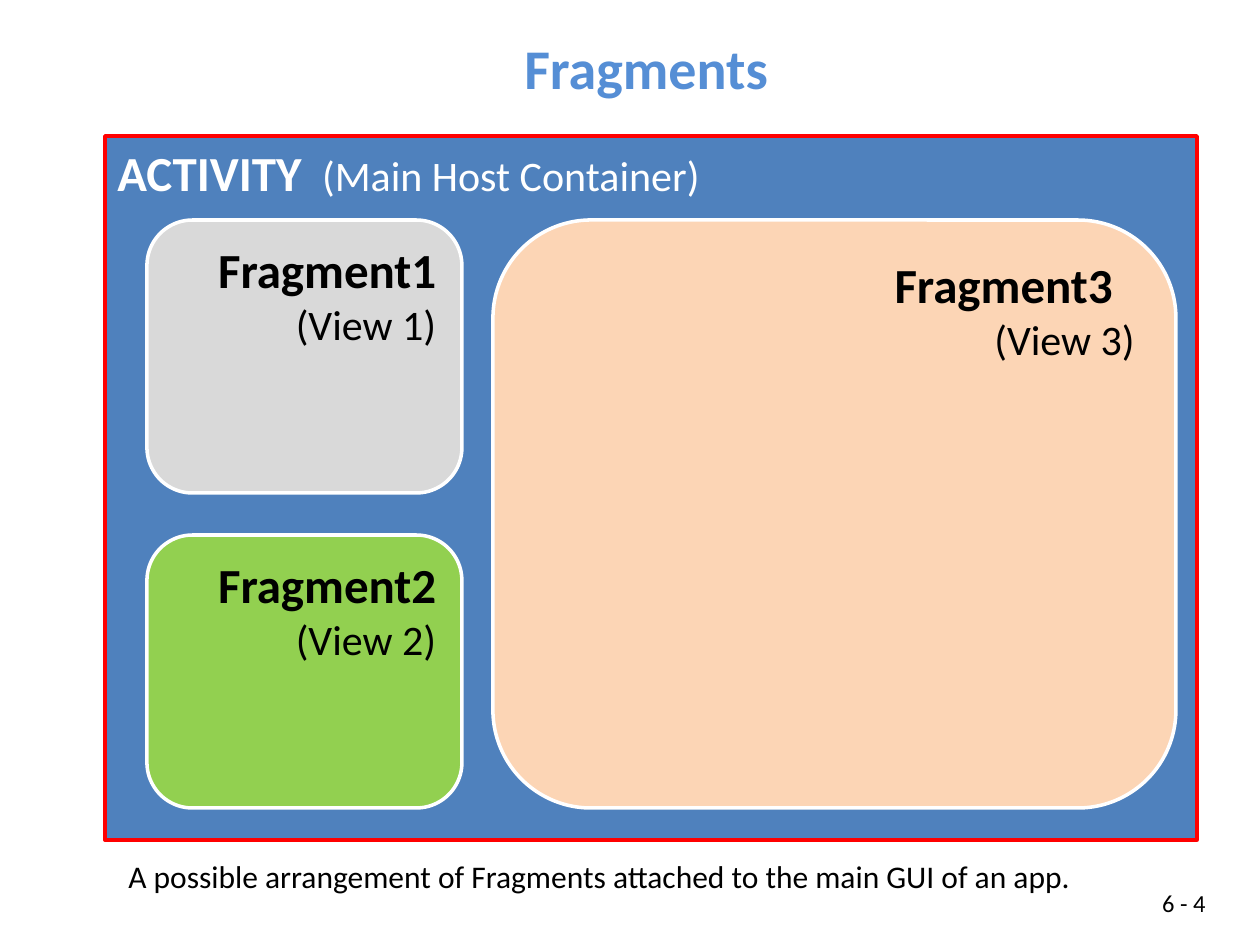
from pptx import Presentation
from pptx.dml.color import RGBColor
from pptx.enum.shapes import MSO_SHAPE
from pptx.enum.text import MSO_ANCHOR, PP_ALIGN
from pptx.util import Emu, Pt

SCALE = 914400 / 126
THEME = {
    "font": "Calibri",
    "title": "558ED5", "ink": "000000", "white": "FFFFFF",
    "activity": "4F81BD", "border": "FF0000",
    "gray": "D9D9D9", "green": "92D050", "peach": "FCD5B5",
    "title_size": 32, "name_size": 28, "view_size": 24,
    "caption_size": 18, "number_size": 14, "line": 2,
}


def place(kind, bounds, fill=None, line=None):
    lengths = [Emu(round(value * SCALE)) for value in bounds]
    if kind is None:
        box = page.shapes.add_textbox(*lengths)
    else:
        box = page.shapes.add_shape(kind, *lengths)
        box.shadow.inherit = False
        box.fill.solid()
        box.fill.fore_color.rgb = RGBColor.from_string(THEME[fill])
        box.line.color.rgb = RGBColor.from_string(THEME[line])
        box.line.width = Pt(THEME["line"])
    box.text_frame.word_wrap = True
    box.text_frame.vertical_anchor = MSO_ANCHOR.TOP
    return box


def write(para, align, color, *spans):
    para.alignment = align
    for text, size, bold in spans:
        span = para.add_run()
        span.text = text
        span.font.name = THEME["font"]
        span.font.size = Pt(THEME[size])
        span.font.bold = bold
        span.font.color.rgb = RGBColor.from_string(THEME[color])


deck = Presentation()
deck.slide_width = Emu(round(1260 * SCALE))
deck.slide_height = Emu(round(945 * SCALE))
page = deck.slides.add_slide(deck.slide_layouts[6])

activity = place(MSO_SHAPE.RECTANGLE, (105, 136, 1092, 704), "activity", "border")
write(activity.text_frame.paragraphs[0], PP_ALIGN.LEFT, "white",
      ("ACTIVITY ", "name_size", True),
      (" (Main Host Container)", "view_size", False))

fragments = [
    ("Fragment3  ", "(View 3)", "peach", (493, 220, 683, 588)),
    ("Fragment1", "(View 1)", "gray", (147, 220, 315, 273)),
    ("Fragment2", "(View 2)", "green", (147, 535, 315, 273)),
]
for name, view, fill, bounds in fragments:
    frame = place(MSO_SHAPE.ROUNDED_RECTANGLE, bounds, fill, "white").text_frame
    write(frame.paragraphs[0], PP_ALIGN.RIGHT, "ink", (name, "name_size", True))
    write(frame.add_paragraph(), PP_ALIGN.RIGHT, "ink", (view, "view_size", False))

title = place(None, (42, 6, 1134, 88))
title.text_frame.margin_left = Emu(round(87 * SCALE))
title.text_frame.margin_top = Emu(round(28 * SCALE))
title.text_frame.margin_bottom = 0
write(title.text_frame.paragraphs[0], PP_ALIGN.CENTER, "title",
      ("Fragments", "title_size", True))

caption = place(None, (116, 851, 998, 50))
write(caption.text_frame.paragraphs[0], PP_ALIGN.LEFT, "ink",
      ("A possible arrangement of Fragments attached to the main GUI of an app.",
       "caption_size", False))

number = place(None, (1071, 882, 147, 43))
write(number.text_frame.paragraphs[0], PP_ALIGN.RIGHT, "ink",
      ("6 - 4", "number_size", False))

deck.save("out.pptx")
